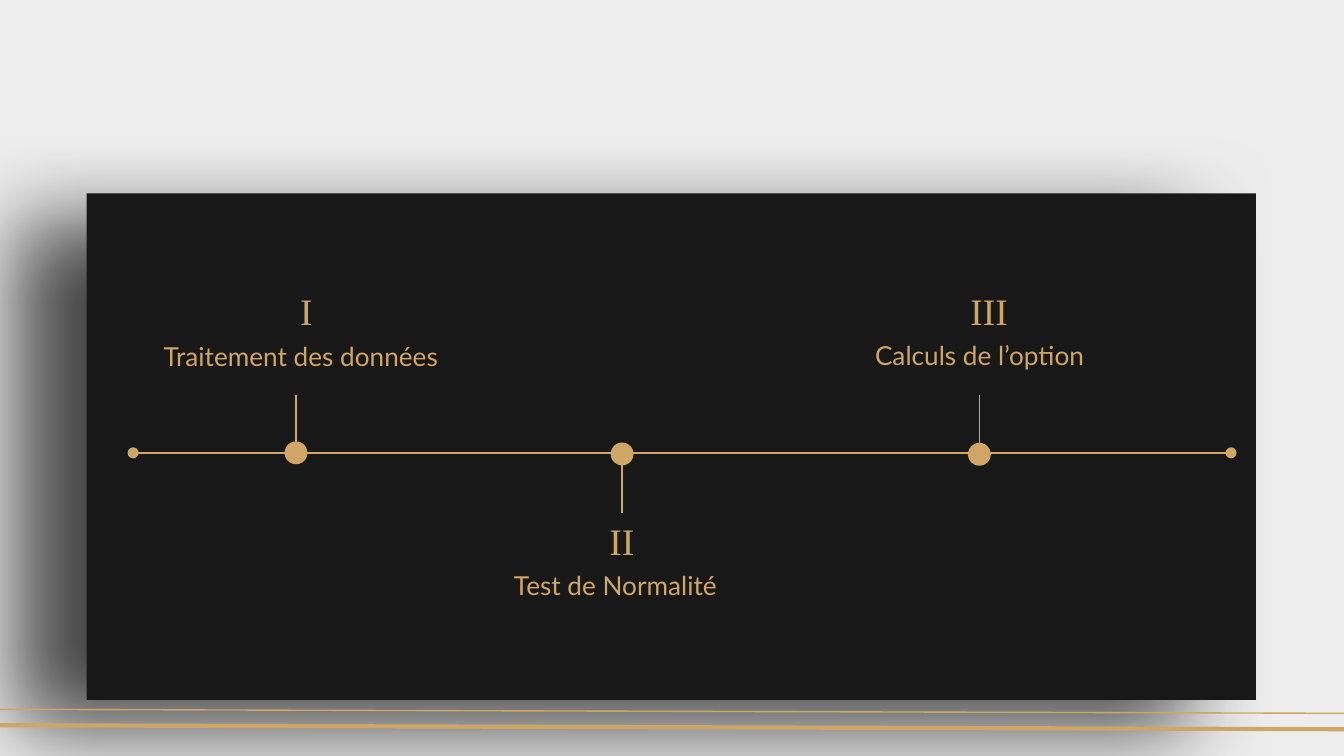
from lxml.etree import SubElement
from pptx import Presentation
from pptx.dml.color import RGBColor
from pptx.enum.shapes import MSO_CONNECTOR as Connector, MSO_SHAPE as Shape
from pptx.enum.text import MSO_ANCHOR as Anchor, PP_ALIGN as Align
from pptx.oxml.ns import qn
from pptx.util import Pt

COLORS = {"background": "EEEDEE", "panel": "191818", "gold": "CFA667", "shadow": "000000"}
AXIS_Y = 242.6
DOT_SIZE = 11.5
LABEL_WIDTH, LABEL_HEIGHT = 168.5, 45.4
NUMERAL_WIDTH, NUMERAL_HEIGHT = 132.5, 20.2

# numeral, label, dot centre (x, y), tick (top, bottom),
# numeral (left, top), label (left, top)
STEPS = [
    ("I", "Traitement des données", (158.6, 242.6), (211.7, 237.6), (97.9, 149.8), (77, 177.1)),
    ("II", "Test de Normalité", (333.3, 243.2), (249.1, 275), (266.9, 272.9), (245.5, 299.5)),
    ("III", "Calculs de l’option", (524.7, 243.4), (211.7, 237.6), (463.7, 149.8), (440.6, 176.4)),
]


def rgb(name):
    return RGBColor.from_string(COLORS[name])


def add_filled(slide, kind, left, top, width, height, color, outlined=False):
    shape = slide.shapes.add_shape(kind, Pt(left), Pt(top), Pt(width), Pt(height))
    shape.shadow.inherit = False
    shape.fill.solid()
    shape.fill.fore_color.rgb = rgb(color)
    if outlined:
        shape.line.color.rgb = rgb(color)
        shape.line.width = Pt(0.75)
    else:
        shape.line.fill.background()
    return shape


def add_soft_shadow(shape, blur, distance, angle, opacity):
    """Cast an outer shadow; angle in degrees, opacity in percent."""
    effects = shape._element.spPr.find(qn("a:effectLst"))
    shadow = SubElement(
        effects, qn("a:outerShdw"), blurRad=str(Pt(blur)), dist=str(Pt(distance)),
        dir=str(angle * 60000), algn="ctr", rotWithShape="0")
    color = SubElement(shadow, qn("a:srgbClr"), val=COLORS["shadow"])
    SubElement(color, qn("a:alpha"), val=str(opacity * 1000))


def add_line(slide, start, end, width=0.75, oval_ends=False):
    line = slide.shapes.add_connector(Connector.STRAIGHT, *map(Pt, (*start, *end)))
    line.line.color.rgb = rgb("gold")
    line.line.width = Pt(width)
    if oval_ends:
        for tag in ("a:headEnd", "a:tailEnd"):
            SubElement(line.line._get_or_add_ln(), qn(tag), type="oval")
    SubElement(line._element.spPr, qn("a:effectLst"))


def add_text(slide, text, left, top, width, height, *, font, size, color="gold"):
    box = slide.shapes.add_textbox(Pt(left), Pt(top), Pt(width), Pt(height))
    frame = box.text_frame
    frame.word_wrap = True
    frame.vertical_anchor = Anchor.TOP
    frame.margin_left = frame.margin_right = Pt(7.2)
    frame.margin_top = frame.margin_bottom = Pt(7.2)
    paragraph = frame.paragraphs[0]
    paragraph.alignment = Align.CENTER
    paragraph.line_spacing = 0.9
    run = paragraph.add_run()
    run.text = text
    run.font.name = font
    run.font.size = Pt(size)
    run.font.color.rgb = rgb(color)


def add_step(slide, numeral, label, dot, tick, numeral_at, label_at):
    x, y = dot
    add_filled(slide, Shape.OVAL, x - DOT_SIZE / 2, y - DOT_SIZE / 2,
               DOT_SIZE, DOT_SIZE, "gold", outlined=True)
    add_text(slide, label, *label_at, LABEL_WIDTH, LABEL_HEIGHT, font="Lato", size=14)
    add_text(slide, numeral, *numeral_at, NUMERAL_WIDTH, NUMERAL_HEIGHT,
             font="Times New Roman", size=20)
    add_line(slide, (x, tick[0]), (x, tick[1]))


def main():
    deck = Presentation()
    deck.slide_width, deck.slide_height = Pt(720), Pt(405)
    slide = deck.slides.add_slide(deck.slide_layouts[6])
    slide.background.fill.solid()
    slide.background.fill.fore_color.rgb = rgb("background")

    panel = add_filled(slide, Shape.RECTANGLE, 46.4, 103.6, 626.4, 271.4, "panel")
    add_soft_shadow(panel, blur=48.4, distance=39.8, angle=157, opacity=69)
    add_line(slide, (71.3, AXIS_Y), (659.5, AXIS_Y), oval_ends=True)
    for step in STEPS:
        add_step(slide, *step)

    add_line(slide, (-9.4, 380), (767.5, 382.3))
    add_line(slide, (-15.1, 388.5), (761.8, 390.8), width=2.25)
    deck.save("out.pptx")


if __name__ == "__main__":
    main()
